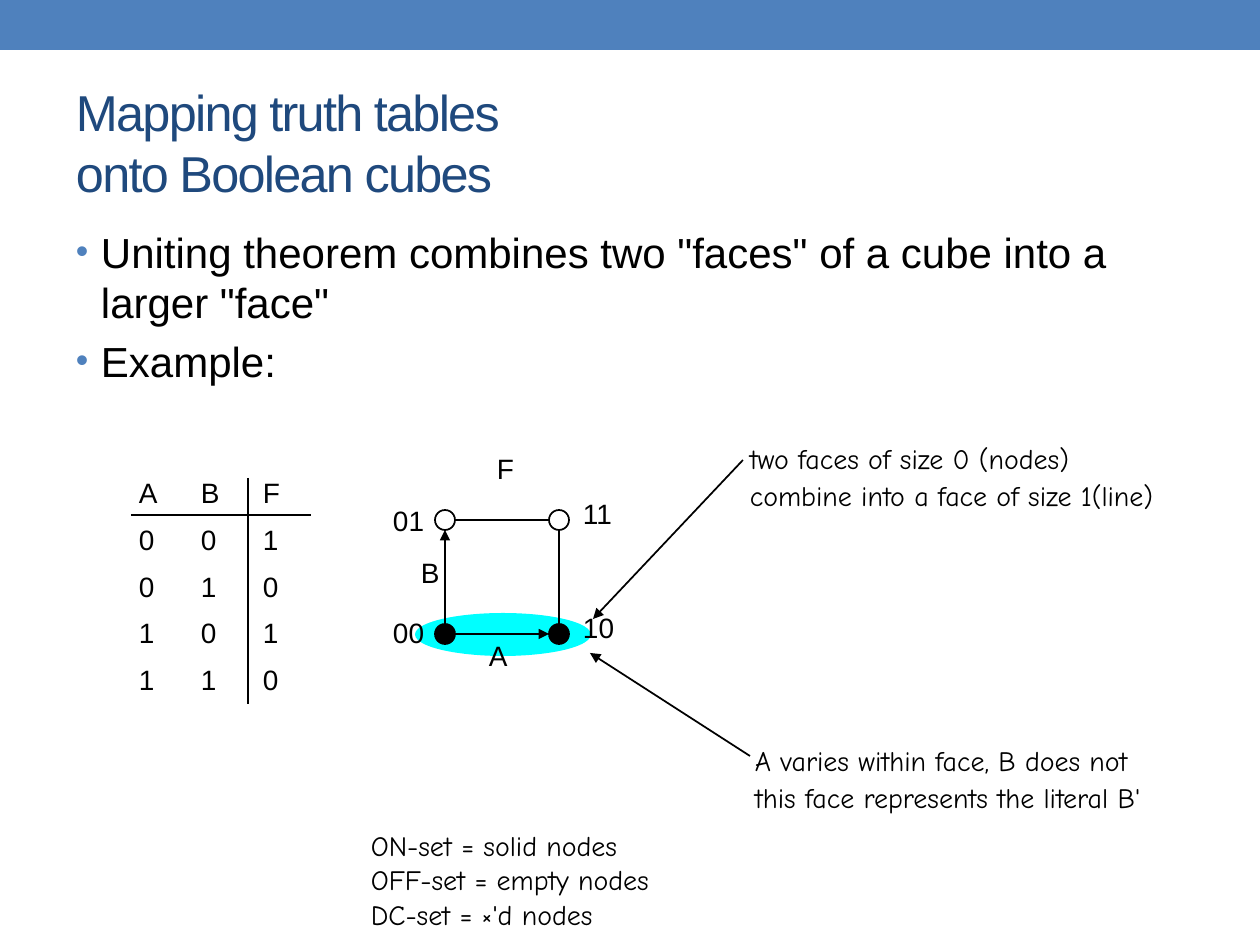
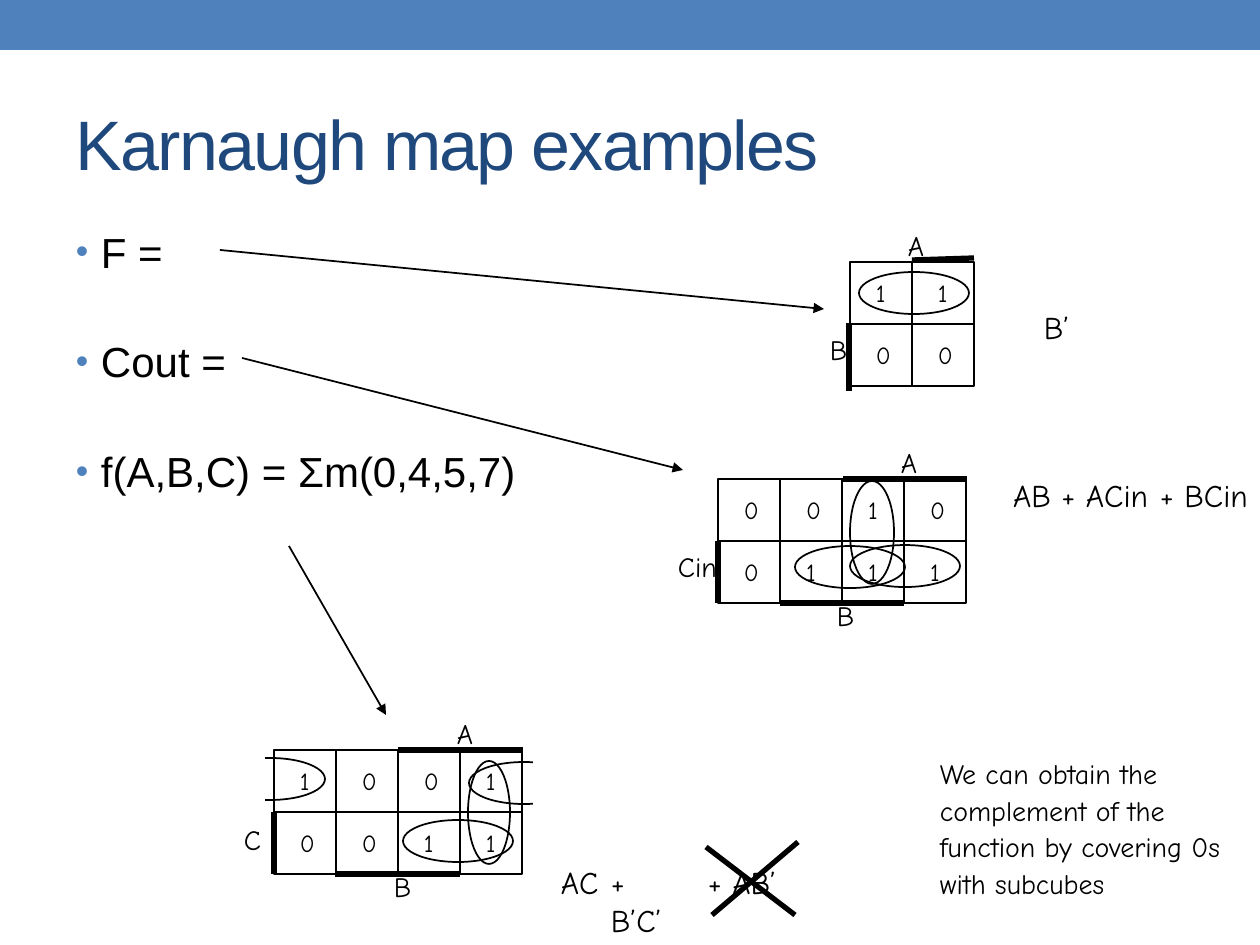
"""Build two slides on Boolean cubes and Karnaugh maps."""
from lxml.etree import SubElement
from pptx import Presentation
from pptx.dml.color import RGBColor
from pptx.enum.shapes import MSO_CONNECTOR, MSO_SHAPE
from pptx.enum.text import MSO_ANCHOR
from pptx.oxml.ns import qn
from pptx.util import Emu, Pt

BLUE = RGBColor(0x4F, 0x81, 0xBD)
NAVY = RGBColor(0x1F, 0x49, 0x7D)
CYAN = RGBColor(0x00, 0xFF, 0xFF)
BLACK = RGBColor(0x00, 0x00, 0x00)
WHITE = RGBColor(0xFF, 0xFF, 0xFF)
SANS, HAND = "Arial", "Comic Neue"
PX_PER_INCH = 126
CELL = 62
NODE = 20


def px(length):
    """Turn px into EMU."""
    return Emu(round(length * 914400 / PX_PER_INCH))


class Deck:
    """Hold the shared style and the current slide."""

    def __init__(self):
        """Start an empty presentation."""
        self.presentation = Presentation()
        self.presentation.slide_width = px(1260)
        self.presentation.slide_height = px(945)
        self.slide = None

    def new_slide(self, title, title_size, bullets, space_before):
        """Add a slide with its band, title and bullets."""
        self.slide = self.presentation.slides.add_slide(self.presentation.slide_layouts[6])
        self.shape(MSO_SHAPE.RECTANGLE, 0, 0, 1260, 50, BLUE, None)
        frame = self.text(63, 74, 1134, 136, [title], title_size, SANS, NAVY, insets=(13, 6))
        frame.vertical_anchor = MSO_ANCHOR.MIDDLE
        for run in frame.paragraphs[0].runs:
            run.font._element.set("spc", "-100")
        frame = self.text(63, 220, 1134, 672, bullets, 24, SANS, insets=(13, 6),
                          space_before=space_before)
        frame.paragraphs[0].space_before = Pt(4.8)
        for paragraph in frame.paragraphs:
            self.bullet(paragraph)

    def bullet(self, paragraph):
        """Give a paragraph a hanging blue bullet."""
        properties = paragraph._p.get_or_add_pPr()
        properties.set("marL", str(px(25)))
        properties.set("indent", str(-px(25)))
        color, size, font, mark = [SubElement(properties, qn(f"a:{name}"))
                                   for name in ("buClr", "buSzPct", "buFont", "buChar")]
        SubElement(color, qn("a:srgbClr")).set("val", str(BLUE))
        size.set("val", "85000")
        font.set("typeface", SANS)
        mark.set("char", "•")
        properties.append(properties.find(qn("a:defRPr")))

    def text(self, left, top, width, height, lines, size=16, font=SANS, color=BLACK,
             line_spacing=None, space_before=0, insets=(3, 4), tabs=0):
        """Add a text box with one paragraph for each line."""
        box = self.slide.shapes.add_textbox(px(left), px(top), px(width), px(height))
        frame = box.text_frame
        frame.word_wrap = True
        frame.margin_left = frame.margin_right = px(insets[0])
        frame.margin_top = frame.margin_bottom = px(insets[1])
        for number, line in enumerate(lines):
            paragraph = frame.add_paragraph() if number else frame.paragraphs[0]
            paragraph.text = line
            if tabs:
                stops = SubElement(paragraph._p.get_or_add_pPr(), qn("a:tabLst"))
                for stop in range(1, tabs + 1):
                    tab = SubElement(stops, qn("a:tab"))
                    tab.set("pos", str(px(CELL * stop)))
                    tab.set("algn", "l")
            if line_spacing:
                paragraph.line_spacing = Pt(line_spacing)
            if number:
                paragraph.space_before = Pt(space_before)
            paragraph.font.size = Pt(size)
            paragraph.font.name = font
            paragraph.font.color.rgb = color
        return frame

    def label(self, left, top, text, font=SANS):
        """Add a short label beside a diagram."""
        self.text(left, top, 80, 45, [text], font=font, line_spacing=15.8)

    def term(self, left, width, top, text):
        """Add one term of a minimised expression."""
        frame = self.text(left, top, width, 50, [text], 18, HAND, insets=(13, 6))
        frame.margin_right = 0

    def shape(self, kind, left, top, width, height, fill=None, line=BLACK):
        """Add a preset shape."""
        shape = self.slide.shapes.add_shape(kind, px(left), px(top), px(width), px(height))
        shape.shadow.inherit = False
        if fill is None:
            shape.fill.background()
        else:
            shape.fill.solid()
            shape.fill.fore_color.rgb = fill
        if line is None:
            shape.line.fill.background()
        else:
            shape.line.color.rgb = line
            shape.line.width = Pt(1)

    def oval(self, left, top, width=110, height=42, fill=None, line=BLACK):
        """Add an ellipse, by default a ring around two cells."""
        self.shape(MSO_SHAPE.OVAL, left, top, width, height, fill, line)

    def line(self, start_x, start_y, end_x, end_y, width=1, arrow=False):
        """Add a straight line or an arrow."""
        connector = self.slide.shapes.add_connector(
            MSO_CONNECTOR.STRAIGHT, px(start_x), px(start_y), px(end_x), px(end_y))
        connector.line.color.rgb = BLACK
        connector.line.width = Pt(width)
        if arrow:
            SubElement(connector.line._get_or_add_ln(), qn("a:tailEnd")).set("type", "triangle")
        SubElement(connector._element.spPr, qn("a:effectLst"))

    def karnaugh_map(self, left, top, rows, bars, labels):
        """Draw a two-row map with thick variable bars and their labels."""
        columns = len(rows[0])
        width, height = CELL * columns, CELL * 2
        self.shape(MSO_SHAPE.RECTANGLE, left, top, width, height)
        for column in range(1, columns):
            self.line(left + CELL * column, top, left + CELL * column, top + height)
        self.line(left, top + CELL, left + width, top + CELL)
        self.text(left + 23, top + 10, width, height - 13, ["\t".join(row) for row in rows], 14,
                  HAND, line_spacing=17.8, space_before=17.8, tabs=columns - 1)
        for bar in bars:
            self.line(*bar, width=3)
        for label in labels:
            self.label(*label, font=HAND)


def boolean_cube(deck):
    """Build the slide that maps a truth table onto a square."""
    deck.new_slide("Mapping truth tables \nonto Boolean cubes", 28.8,
                   ['Uniting theorem combines two "faces" of a cube into a larger "face"',
                    "Example:"], 4.8)
    truth_table = ["A\tB\tF", "0\t0\t1", "0\t1\t0", "1\t0\t1", "1\t1\t0"]
    deck.text(136, 474, 187, 234, truth_table, line_spacing=17.8, space_before=8.9, tabs=3)
    deck.line(131, 515, 311, 515)
    deck.line(248, 478, 248, 704)
    deck.text(368, 823, 309, 121, ["ON-set = solid nodes\nOFF-set = empty nodes\nDC-set = ×'d nodes"],
              font=HAND, line_spacing=19.8)
    deck.oval(415, 613, 176, 43, CYAN, None)
    deck.text(747, 435, 430, 126,
              ["two faces of size 0 (nodes) \ncombine into a face of size 1(line)"],
              font=HAND, line_spacing=20.8)
    deck.text(752, 737, 435, 83,
              ["A varies within face, B does not\nthis face represents the literal B'"],
              font=HAND, line_spacing=20.8)
    deck.line(743, 460, 593, 619, arrow=True)
    deck.line(750, 756, 590, 653, arrow=True)

    for left, top, text in [(486, 640, "A"), (418, 557, "B"), (580, 498, "11"), (390, 617, "00"),
                            (390, 505, "01"), (580, 612, "10"), (494, 453, "F")]:
        deck.label(left, top, text)
    for left in (435, 549):
        deck.oval(left, 510, NODE, NODE, WHITE)
        deck.oval(left, 624, NODE, NODE, BLACK)
    deck.line(456, 634, 549, 634, arrow=True)
    deck.line(445, 624, 445, 530, arrow=True)
    deck.line(456, 520, 549, 520)
    deck.line(559, 530, 559, 624)


def karnaugh_examples(deck):
    """Build the slide with three Karnaugh maps."""
    deck.new_slide("Karnaugh map examples", 40,
                   ["F =", "Cout =", "f(A,B,C) = Σm(0,4,5,7)"], 34)
    deck.text(937, 750, 301, 164,
              ["We can obtain the\ncomplement of the \nfunction by covering 0s\nwith subcubes"],
              font=HAND, line_spacing=20.8)
    for arrow in [(220, 250, 824, 309), (242, 358, 683, 470), (289, 546, 386, 715)]:
        deck.line(*arrow, arrow=True)

    deck.karnaugh_map(850, 262, ["11", "00"],
                      [(912, 260, 974, 258), (849, 323, 849, 391)],
                      [(827, 334, "B"), (905, 230, "A")])
    deck.oval(859, 272)
    deck.term(1031, 60, 302, "B’")

    deck.karnaugh_map(718, 479, ["0010", "0111"],
                      [(843, 479, 967, 479), (780, 603, 904, 603), (718, 541, 718, 603)],
                      [(675, 551, "Cin"), (834, 600, "B"), (898, 447, "A")])
    deck.oval(850, 481, 44, 103)
    deck.oval(850, 545)
    deck.oval(795, 546)
    for left, width, text in [(1000, 68, "AB"), (1038, 126, " + ACin"), (1147, 113, "+ BCin")]:
        deck.term(left, width, 470, text)

    deck.karnaugh_map(274, 750, ["1001", "0011"],
                      [(398, 750, 523, 750), (335, 874, 460, 874), (274, 812, 274, 874)],
                      [(241, 824, "C"), (391, 871, "B"), (454, 718, "A")])
    deck.oval(403, 820)
    deck.oval(469, 762)
    deck.oval(215, 758)
    for left in (208, 533):
        deck.shape(MSO_SHAPE.RECTANGLE, left, 747, 57, 68, WHITE, None)
    deck.oval(468, 761, 42, 103)
    for left, width, text in [(548, 67, "AC"), (598, 86, "+ B’C’"), (695, 98, "+ AB’")]:
        deck.term(left, width, 857, text)
    deck.line(706, 847, 795, 915, width=3)
    deck.line(798, 842, 712, 915, width=3)


def main():
    """Build both slides and save them."""
    deck = Deck()
    boolean_cube(deck)
    karnaugh_examples(deck)
    deck.presentation.save("out.pptx")


if __name__ == "__main__":
    main()
